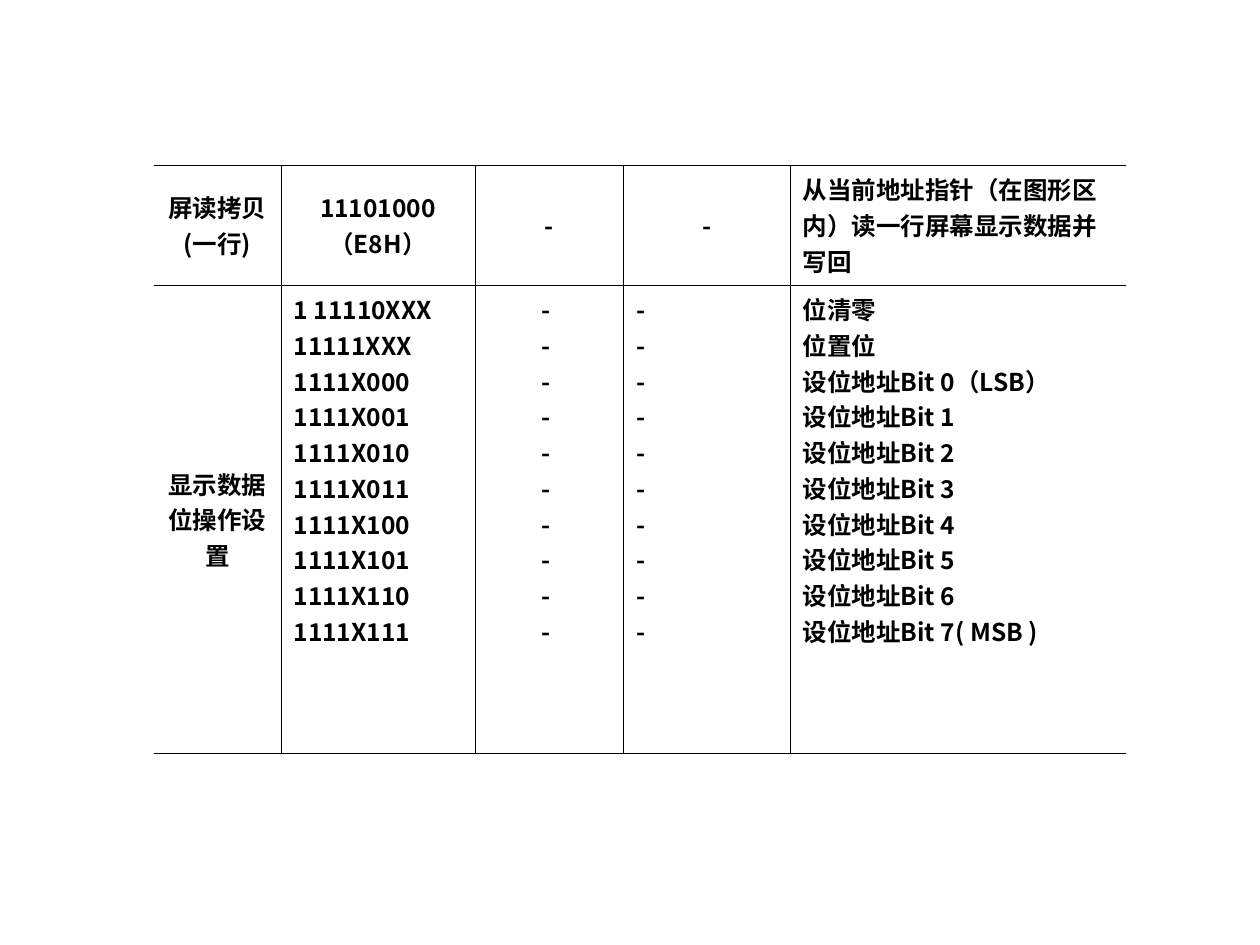
from dataclasses import dataclass

from lxml import etree
from pptx import Presentation
from pptx.dml.color import RGBColor
from pptx.enum.text import MSO_ANCHOR, PP_ALIGN
from pptx.oxml.ns import qn
from pptx.util import Inches, Pt

LEFT, CENTER = PP_ALIGN.LEFT, PP_ALIGN.CENTER
TOP, MIDDLE = MSO_ANCHOR.TOP, MSO_ANCHOR.MIDDLE


@dataclass
class Theme:
    font: str = "Noto Sans CJK SC"
    size: float = 14
    ink: str = "000000"
    rule: float = 0.23
    bottom_rule: float = 0.45


BIT_COUNT = 8
OPERATION_COUNT = BIT_COUNT + 2
BIT_NOTES = {0: "（LSB）", BIT_COUNT - 1: "( MSB )"}
BIT_CODES = ["1 11110XXX", "11111XXX"] + [f"1111X{i:03b}" for i in range(BIT_COUNT)]
BIT_MEANINGS = ["位清零", "位置位"] + [
    f"设位地址Bit {i}{BIT_NOTES.get(i, '')}" for i in range(BIT_COUNT)
]

# Each cell: paragraphs, alignment, vertical anchor
COMMANDS = [
    [
        (["屏读拷贝(一行)"], CENTER, MIDDLE),
        (["11101000（E8H）"], CENTER, MIDDLE),
        (["-"], CENTER, MIDDLE),
        (["-"], CENTER, MIDDLE),
        (["从当前地址指针（在图形区内）读一行屏幕显示数据并写回"], LEFT, TOP),
    ],
    [
        (["显示数据", "位操作设置"], CENTER, MIDDLE),
        (BIT_CODES, LEFT, TOP),
        (["- "] * OPERATION_COUNT, CENTER, TOP),
        (["-"] * OPERATION_COUNT, LEFT, TOP),
        (BIT_MEANINGS, LEFT, TOP),
    ],
]
COL_WIDTHS = [1.01, 1.54, 1.18, 1.32, 2.67]
ROW_HEIGHTS = [0.93, 3.72]


class SlideBuilder:
    def __init__(self, slide, theme):
        self.s = slide
        self.theme = theme

    def table(self, left, top, widths, heights, rows):
        frame = self.s.shapes.add_table(
            len(rows), len(widths), Inches(left), Inches(top),
            Inches(sum(widths)), Inches(sum(heights)))
        table = frame.table
        table.first_row = table.horz_banding = False
        for col, width in zip(table.columns, widths):
            col.width = Inches(width)
        for row, height in zip(table.rows, heights):
            row.height = Inches(height)
        last_row, last_col = len(rows) - 1, len(widths) - 1
        for i, row in enumerate(rows):
            for j, (lines, align, anchor) in enumerate(row):
                cell = table.cell(i, j)
                self.cell_text(cell, lines, align, anchor)
                rule = self.theme.rule
                self.borders(cell, {
                    "lnL": rule if j > 0 else None,
                    "lnR": rule if j < last_col else None,
                    "lnT": rule,
                    "lnB": self.theme.bottom_rule if i == last_row else rule,
                })

    def cell_text(self, cell, lines, align, anchor):
        cell.fill.background()
        cell.vertical_anchor = anchor
        tf = cell.text_frame
        for k, line in enumerate(lines):
            p = tf.add_paragraph() if k else tf.paragraphs[0]
            p.alignment = align
            r = p.add_run()
            r.text = line
            font_format = {"size": Pt(self.theme.size), "bold": True,
                           "name": self.theme.font}
            for name, value in font_format.items():
                setattr(r.font, name, value)
            r.font.color.rgb = RGBColor.from_string(self.theme.ink)
            ea = etree.SubElement(r.font._element, qn("a:ea"))
            ea.set("typeface", self.theme.font)

    def borders(self, cell, widths):
        """Draw each cell edge; a width of None leaves the edge open."""
        tc_pr = cell._tc.get_or_add_tcPr()
        for position, (edge, width) in enumerate(widths.items()):
            ln = etree.Element(qn(f"a:{edge}"))
            if width is None:
                etree.SubElement(ln, qn("a:noFill"))
            else:
                ln.set("w", str(int(Pt(width))))
                fill = etree.SubElement(ln, qn("a:solidFill"))
                etree.SubElement(fill, qn("a:srgbClr")).set("val", self.theme.ink)
            tc_pr.insert(position, ln)


def main():
    prs = Presentation()
    prs.slide_width, prs.slide_height = Inches(10), Inches(7.5)
    builder = SlideBuilder(prs.slides.add_slide(prs.slide_layouts[6]), Theme())
    builder.table(1.22, 1.31, COL_WIDTHS, ROW_HEIGHTS, COMMANDS)
    prs.save("out.pptx")


if __name__ == "__main__":
    main()
